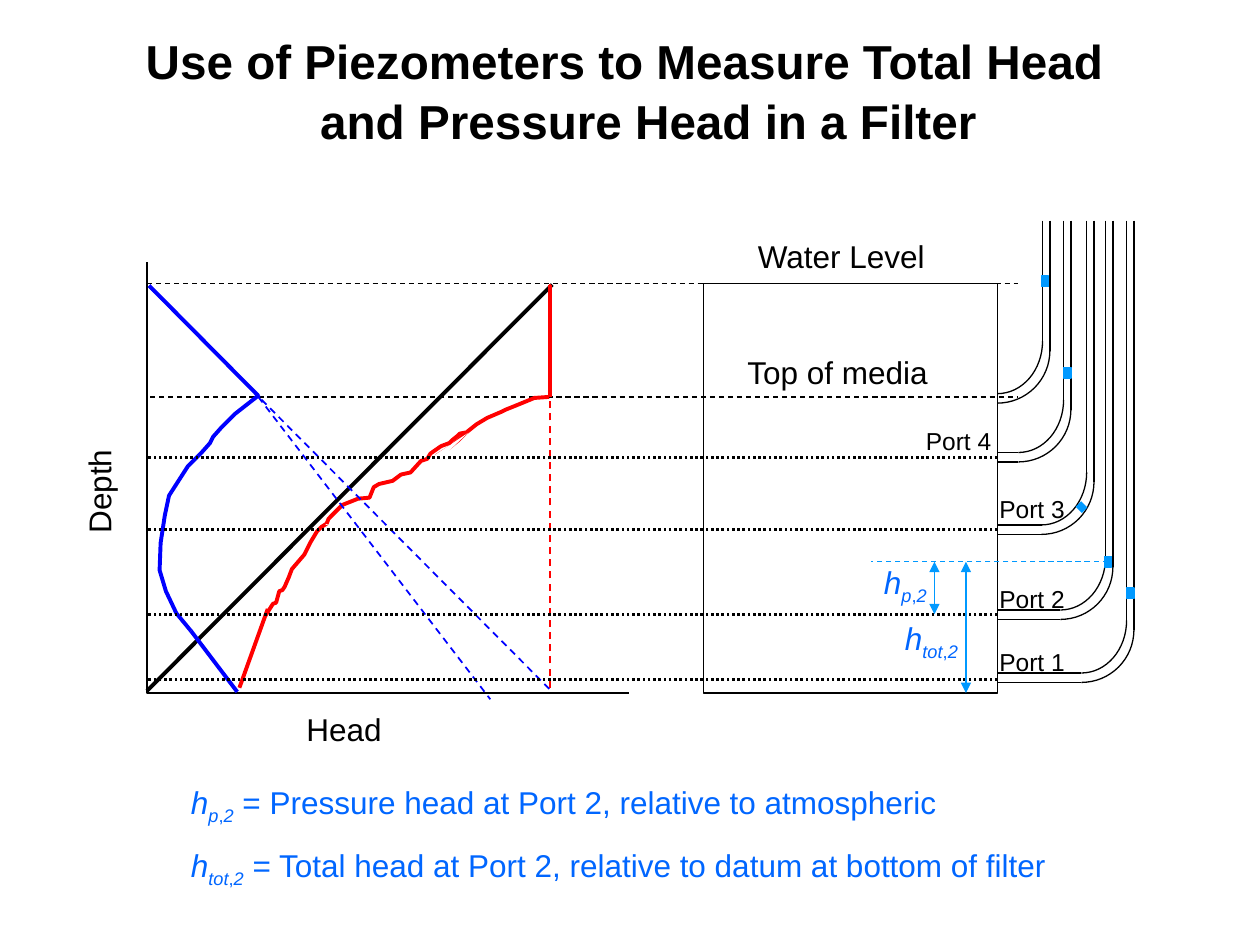
"""Build the slide on using piezometers to measure head in a filter."""
import math
from dataclasses import dataclass
from typing import NamedTuple, Optional

from lxml import etree
from pptx import Presentation
from pptx import util as u
from pptx.dml.color import RGBColor
from pptx.enum import dml, shapes, text
from pptx.oxml import ns

COLS, ROWS = 120, 90


@dataclass(frozen=True)
class Theme:
    font: str = "Arial"
    ink: str = "000000"
    paper: str = "FFFFFF"
    total: str = "FF0000"
    pressure: str = "0000FF"
    water: str = "0099FF"
    note: str = "0066FF"
    title_pt: float = 27.2
    body_pt: float = 18
    port_pt: float = 14


class Stroke(NamedTuple):
    color: str
    width: float = 0.75
    dash: Optional[dml.MSO_LINE] = None
    arrows: bool = False


class Label(NamedTuple):
    text: str
    col: float
    row: float
    width: float
    height: float
    size: float


class Pipe(NamedTuple):
    bend: float
    row: float


T = Theme()
THIN = Stroke(T.ink)
DASHED = Stroke(T.ink, dash=dml.MSO_LINE.DASH)
DOTTED = Stroke(T.ink, 1.5, dml.MSO_LINE.ROUND_DOT)
HYDROSTATIC = Stroke(T.pressure, 1, dml.MSO_LINE.DASH)
PRESSURE = Stroke(T.pressure, 2.25)
TOTAL = Stroke(T.total, 2.25)
SPAN = Stroke(T.water, arrows=True)

AXIS, TANK_LEFT, TANK_RIGHT, SURFACE, FLOOR, PIPE_TOP = 14, 67, 95, 27, 66, 21
PORT_ROWS = (64.7, 58.5, 50.4, 43.6)
PIPES = (Pipe(95, 37.5), Pipe(97, 43.1), Pipe(99.2, 50), Pipe(101, 58.1), Pipe(103, 64.1))
MARKERS = ((99.2, 26.3), (101.3, 35), (105.2, 53), (107.3, 56))
LABELS = (
    Label("Top of media", 70, 33, 20, 4.8, T.body_pt),
    Label("Water Level", 71, 22, 19, 4.8, T.body_pt),
    Label("Head", 28, 67, 10, 4.8, T.body_pt),
    Label("Port 1", 94, 61, 11, 4.1, T.port_pt),
    Label("Port 2", 94, 55, 11, 4.1, T.port_pt),
    Label("Port 3", 94, 46.5, 11, 4.1, T.port_pt),
    Label("Port 4", 87, 40, 11, 4.1, T.port_pt),
)
PRESSURE_CURVE = (
    (24.7, 37.6), (22.4, 39.4), (21.1, 40.7), (20.3, 41.6), (20, 42.2), (19.2, 43.1),
    (17.9, 44.4), (16.1, 47.2), (15.7, 49.1), (15.3, 51.7), (15.2, 54.3), (15.8, 56.3),
    (16.8, 58.4), (18.2, 60.1))
TOTAL_CURVE = (
    (52.3, 37.8), (50.9, 37.9), (49.2, 38.6), (48.2, 39), (47.8, 39.2), (46.4, 39.8),
    (45.4, 40.4), (44.4, 41.2), (43.7, 41.9), (42.7, 42.7), (41.6, 43.4), (41.2, 43.9),
    (40, 45), (39.2, 45.7), (38.3, 46.3), (37.8, 46.8), (36.6, 47.3), (36, 47.5),
    (35.2, 48.1), (34.3, 48.6), (32, 49.3), (30.6, 50.2), (30.2, 50.6), (29.6, 51.6),
    (29, 52.8), (28.4, 53.5), (27.8, 54.2), (27.5, 55), (27.1, 55.9), (26.9, 56.2),
    (26.6, 56.3), (26.3, 57.4), (26, 57.5), (25.3, 58.6))
MASK = ((31, 50), (33.4, 49.9), (36.8, 48.5), (44.6, 41.2), (38, 45.6), (33.4, 48.5), (31.6, 48.5))
MIDDLE_CURVE = (
    (44.3, 41.2), (43.8, 41.3), (43.6, 41.5), (43.1, 41.9), (42.8, 42.2), (42, 42.5),
    (41, 43.2), (40.7, 43.7), (40.1, 43.9), (39.1, 45), (38.2, 45.2), (37.4, 45.8),
    (36.1, 46.1), (35.6, 46.4), (35.2, 47.4), (34.1, 47.5), (32.6, 48.1), (31.3, 49.4),
    (31.1, 49.9))

prs = Presentation()
prs.slide_width, prs.slide_height = u.Inches(10), u.Inches(7.5)
slide = prs.slides.add_slide(prs.slide_layouts[5])


def grid(*lengths: float) -> list[int]:
    """Turn alternating columns and rows into slide lengths."""
    steps = (prs.slide_width / COLS, prs.slide_height / ROWS)
    return [round(n * steps[i % 2]) for i, n in enumerate(lengths)]


def style_line(s, stroke: Stroke) -> None:
    """Apply a stroke to a shape or connector."""
    s.line.color.rgb = RGBColor.from_string(stroke.color)
    s.line.width = u.Pt(stroke.width)
    if stroke.dash is not None:
        s.line.dash_style = stroke.dash
    if stroke.arrows:
        for end in ("a:headEnd", "a:tailEnd"):
            etree.SubElement(s.line._get_or_add_ln(), ns.qn(end), type="triangle")


def style_shape(s, fill: Optional[str], stroke: Optional[Stroke]) -> None:
    """Give a shape its fill and outline, without a shadow."""
    s.shadow.inherit = False
    if fill:
        s.fill.solid()
        s.fill.fore_color.rgb = RGBColor.from_string(fill)
    else:
        s.fill.background()
    if stroke:
        style_line(s, stroke)
    else:
        s.line.fill.background()


def line(x1: float, y1: float, x2: float, y2: float, stroke: Stroke) -> None:
    """Draw a straight connector."""
    s = slide.shapes.add_connector(shapes.MSO_CONNECTOR.STRAIGHT, *grid(x1, y1, x2, y2))
    style_line(s, stroke)
    etree.SubElement(s.element.spPr, ns.qn("a:effectLst"))


def outline(points, stroke: Optional[Stroke], fill: Optional[str] = None) -> None:
    """Draw a path through points, closed when it is filled."""
    start, *rest = [tuple(grid(*point)) for point in points]
    builder = slide.shapes.build_freeform(*start)
    builder.add_line_segments(rest, close=bool(fill))
    style_shape(builder.convert_to_shape(), fill, stroke)


def rect(x: float, y: float, w: float, h: float, fill: Optional[str], stroke: Stroke) -> None:
    """Draw a rectangle."""
    s = slide.shapes.add_shape(shapes.MSO_SHAPE.RECTANGLE, *grid(x, y, w, h))
    style_shape(s, fill, stroke)


def pipe(p: Pipe) -> None:
    """Draw the two walls of a piezometer tube."""
    for radius, row in ((4.3, p.row), (5, p.row + 0.9)):
        angles = [math.radians(90 * i / 16) for i in range(17)]
        outline([(p.bend + radius * math.sin(a), row - 5 + 5 * math.cos(a)) for a in angles], THIN)
        line(p.bend + radius, PIPE_TOP, p.bend + radius, row - 5, THIN)
        if p.bend > TANK_RIGHT:
            line(p.bend, row, TANK_RIGHT, row, THIN)


def set_font(p, size: float, color: str) -> None:
    """Set the common font of a paragraph."""
    p.font.name, p.font.size = T.font, u.Pt(size)
    p.font.color.rgb = RGBColor.from_string(color)


def text_frame(x: float, y: float, w: float, h: float):
    """Add a wrapping text box and return its frame."""
    tf = slide.shapes.add_textbox(*grid(x, y, w, h)).text_frame
    tf.word_wrap = True
    return tf


def label(item: Label):
    """Write a plain label and return its frame."""
    tf = text_frame(*item[1:5])
    tf.text = item.text
    set_font(tf.paragraphs[0], item.size, T.ink)
    return tf


def symbol(p, subscript: str, meaning: str = "") -> None:
    """Write a head symbol with its subscript and optional meaning."""
    set_font(p, T.body_pt, T.note)
    for words, italic, low in (("h", True, False), (subscript, True, True), (",", False, True),
                               ("2", True, True), (meaning, False, False)):
        if words:
            r = p.add_run()
            r.text, r.font.italic = words, italic
            if low:
                r.font._element.set("baseline", "-25000")


def title(words: str) -> None:
    """Fill and place the slide title."""
    s = slide.shapes.title
    s.left, s.top, s.width, s.height = grid(10, 2, 99, 13)
    tf = s.text_frame
    tf.text, tf.word_wrap, tf.auto_size = words, True, text.MSO_AUTO_SIZE.NONE
    tf.vertical_anchor = text.MSO_ANCHOR.MIDDLE
    p = tf.paragraphs[0]
    p.alignment, p.line_spacing = text.PP_ALIGN.CENTER, 1.05
    hang = u.Inches(0.38)
    p._p.get_or_add_pPr().set("marL", str(hang))
    p._p.get_or_add_pPr().set("indent", str(-hang))
    set_font(p, T.title_pt, T.ink)
    p.font.bold = True


def main() -> None:
    """Draw the slide and save it."""
    title("Use of Piezometers to Measure Total Head and Pressure Head in a Filter")
    outline(((AXIS, 25), (AXIS, FLOOR), (59.9, FLOOR)), THIN)
    line(52.6, 27.1, AXIS, 65.8, Stroke(T.ink, 2.25))
    line(52.4, 65.5, 52.4, SURFACE, Stroke(T.total, 1, dml.MSO_LINE.DASH))
    line(14.3, 37.8, 97, 37.8, DASHED)
    line(AXIS, SURFACE, 97, SURFACE, DASHED)
    line(14.2, 27.2, 24.6, 37.7, PRESSURE)
    line(52.4, 27.1, 52.4, 37.8, TOTAL)
    line(18.2, 60.1, 22.6, 65.9, PRESSURE)
    outline(PRESSURE_CURVE, PRESSURE)
    line(25.5, 58, 22.8, 65.5, TOTAL)
    outline(TOTAL_CURVE, TOTAL)
    outline(MASK, None, T.paper)
    outline(MIDDLE_CURVE, TOTAL)
    line(14.3, 27.4, 52.6, 65.9, HYDROSTATIC)
    line(24.6, 37.8, 46.7, 66.6, HYDROSTATIC)
    rect(TANK_LEFT, SURFACE, TANK_RIGHT - TANK_LEFT, FLOOR - SURFACE, None, THIN)
    for item in PIPES:
        pipe(item)
    for row in PORT_ROWS:
        line(TANK_RIGHT, row, AXIS, row, DOTTED)
    line(102.7, 48, 103.3, 48.6, Stroke(T.water, 4.5))
    for col, row in MARKERS:
        rect(col, row, 0.7, 1, T.water, Stroke(T.water))
    line(105.5, 53.5, 83, 53.5, Stroke(T.water, dash=dml.MSO_LINE.DASH))
    line(92, 53.5, 92, FLOOR, SPAN)
    line(89, 53.5, 89, 58.5, SPAN)
    for item in LABELS:
        label(item)
    depth = label(Label("Depth", 7, 40, 6, 12, T.body_pt))
    depth.margin_left = depth.margin_right = u.Inches(0.05)
    depth._txBody.bodyPr.set("vert", "vert270")
    symbol(text_frame(83, 53, 8, 5.3).paragraphs[0], "p")
    symbol(text_frame(85, 58.4, 9, 5.3).paragraphs[0], "tot")
    legend = text_frame(17, 74, 90, 11.3)
    symbol(legend.paragraphs[0], "p", " = Pressure head at Port 2, relative to atmospheric")
    p = legend.add_paragraph()
    p.space_before = u.Pt(11.2)
    symbol(p, "tot", " = Total head at Port 2, relative to datum at bottom of filter")
    prs.save("out.pptx")


if __name__ == "__main__":
    main()
